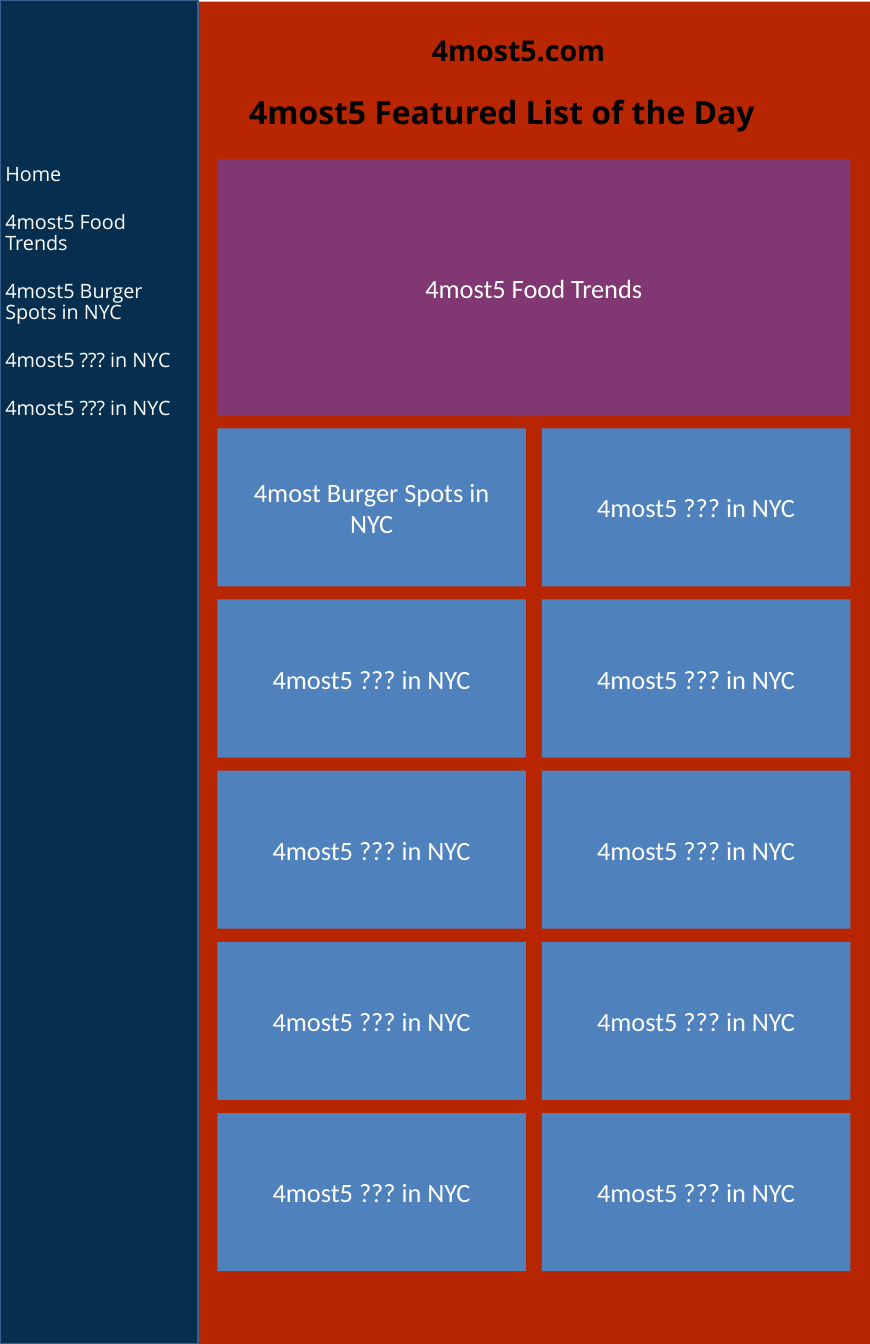
import dataclasses

import lxml.etree
import pptx
import pptx.dml.color
import pptx.enum.shapes
import pptx.enum.text
import pptx.oxml.ns
import pptx.util

SITE = "4most5.com"
HEADING = "4most5 Featured List of the Day"
PENDING = "4most5 ??? in NYC"
NAVIGATION = ["Home", "4most5 Food Trends", "4most5 Burger Spots in NYC", PENDING, PENDING]
FEATURED = "4most5 Food Trends"
LISTS = ["4most Burger Spots in NYC"] + [PENDING] * 9


@dataclasses.dataclass(frozen=True)
class Theme:
    page: str = "B82601"
    sidebar: str = "062F4F"
    sidebar_edge: str = "3A5F8C"
    featured: str = "813772"
    tile: str = "4F81BD"
    dark: str = "000000"
    light: str = "FFFFFF"
    web_font: str = "Open Sans"
    tile_font: str = "Calibri"
    heading_size: int = 29
    site_size: int = 26
    tile_size: int = 24
    navigation_size: int = 18


THEME = Theme()
Cm = pptx.util.Cm
Pt = pptx.util.Pt
ALIGN = pptx.enum.text.PP_ALIGN
ANCHOR = pptx.enum.text.MSO_ANCHOR

PAGE_WIDTH, PAGE_HEIGHT = 27.94, 43.18
SIDEBAR_WIDTH = 6.35
GRID_LEFT, GRID_TOP = 6.98, 13.76
TILE_WIDTH, TILE_HEIGHT = 9.91, 5.08
COLUMN_STEP, ROW_STEP = 10.42, 5.5
COLUMNS = 2
FEATURED_TOP, FEATURED_HEIGHT = 5.11, 8.26


def rgb(value):
    return pptx.dml.color.RGBColor.from_string(value)


def place(part, left, top, width, height):
    part.left, part.top = Cm(left), Cm(top)
    part.width, part.height = Cm(width), Cm(height)


def add_block(slide, left, top, width, height, color):
    block = slide.shapes.add_shape(
        pptx.enum.shapes.MSO_SHAPE.RECTANGLE, Cm(left), Cm(top), Cm(width), Cm(height)
    )
    block.shadow.inherit = False
    block.fill.solid()
    block.fill.fore_color.rgb = rgb(color)
    block.line.fill.background()
    return block


def set_frame(frame, anchor, side=0.41, edge=0.2, wrap=True):
    frame.word_wrap = wrap
    frame.auto_size = pptx.enum.text.MSO_AUTO_SIZE.NONE
    frame.vertical_anchor = anchor
    frame.margin_left = frame.margin_right = Cm(side)
    frame.margin_top = frame.margin_bottom = Cm(edge)


def write(paragraph, text, size, font, color, align=ALIGN.LEFT, bold=False):
    paragraph.alignment = align
    paragraph.space_before = Pt(0)
    run = paragraph.add_run()
    run.text = text
    run.font.size = Pt(size)
    run.font.name = font
    run.font.bold = bold
    run.font.color.rgb = rgb(color)


def add_tile(slide, text, left, top, width, height, color):
    tile = add_block(slide, left, top, width, height, color)
    set_frame(tile.text_frame, ANCHOR.MIDDLE)
    write(tile.text_frame.paragraphs[0], text, THEME.tile_size, THEME.tile_font,
          THEME.light, ALIGN.CENTER)


def bring_to_front(part):
    part.element.getparent().append(part.element)


def add_site_name(slide):
    site = slide.shapes.add_textbox(Cm(13.46), Cm(0.86), Cm(7.21), Cm(1.52))
    set_frame(site.text_frame, ANCHOR.TOP)
    write(site.text_frame.paragraphs[0], SITE, THEME.site_size, THEME.web_font,
          THEME.dark, bold=True)


def fill_heading(heading):
    place(heading, 7.59, 2.77, 19.46, 1.65)
    set_frame(heading.text_frame, ANCHOR.TOP, wrap=False)
    write(heading.text_frame.paragraphs[0], HEADING, THEME.heading_size,
          THEME.web_font, THEME.dark, bold=True)
    bring_to_front(heading)


def fill_navigation(navigation):
    place(navigation, -0.08, 5.16, 6.25, 10.59)
    frame = navigation.text_frame
    set_frame(frame, ANCHOR.TOP, side=0.25, edge=0.13)
    for index, entry in enumerate(NAVIGATION):
        paragraph = frame.add_paragraph() if index else frame.paragraphs[0]
        write(paragraph, entry, THEME.navigation_size, THEME.web_font, THEME.light)
        paragraph.line_spacing = 0.9
        paragraph.space_after = Pt(24)
        properties = paragraph._p.get_or_add_pPr()
        properties.set("marL", "0")
        properties.set("indent", "0")
        lxml.etree.SubElement(properties, pptx.oxml.ns.qn("a:buNone"))
    bring_to_front(navigation)


def main():
    deck = pptx.Presentation()
    deck.slide_width, deck.slide_height = Cm(PAGE_WIDTH), Cm(PAGE_HEIGHT)
    slide = deck.slides.add_slide(deck.slide_layouts[1])
    heading, navigation = slide.placeholders

    add_block(slide, 0, 0.05, PAGE_WIDTH, PAGE_HEIGHT, THEME.page)
    sidebar = add_block(slide, 0, 0, SIDEBAR_WIDTH, PAGE_HEIGHT, THEME.sidebar)
    sidebar.line.color.rgb = rgb(THEME.sidebar_edge)
    sidebar.line.width = Pt(2)

    add_site_name(slide)
    fill_heading(heading)
    fill_navigation(navigation)

    add_tile(slide, FEATURED, GRID_LEFT, FEATURED_TOP, COLUMN_STEP + TILE_WIDTH,
             FEATURED_HEIGHT, THEME.featured)
    for index, text in enumerate(LISTS):
        row, column = divmod(index, COLUMNS)
        add_tile(slide, text, GRID_LEFT + column * COLUMN_STEP,
                 GRID_TOP + row * ROW_STEP, TILE_WIDTH, TILE_HEIGHT, THEME.tile)

    deck.save("out.pptx")


if __name__ == "__main__":
    main()
